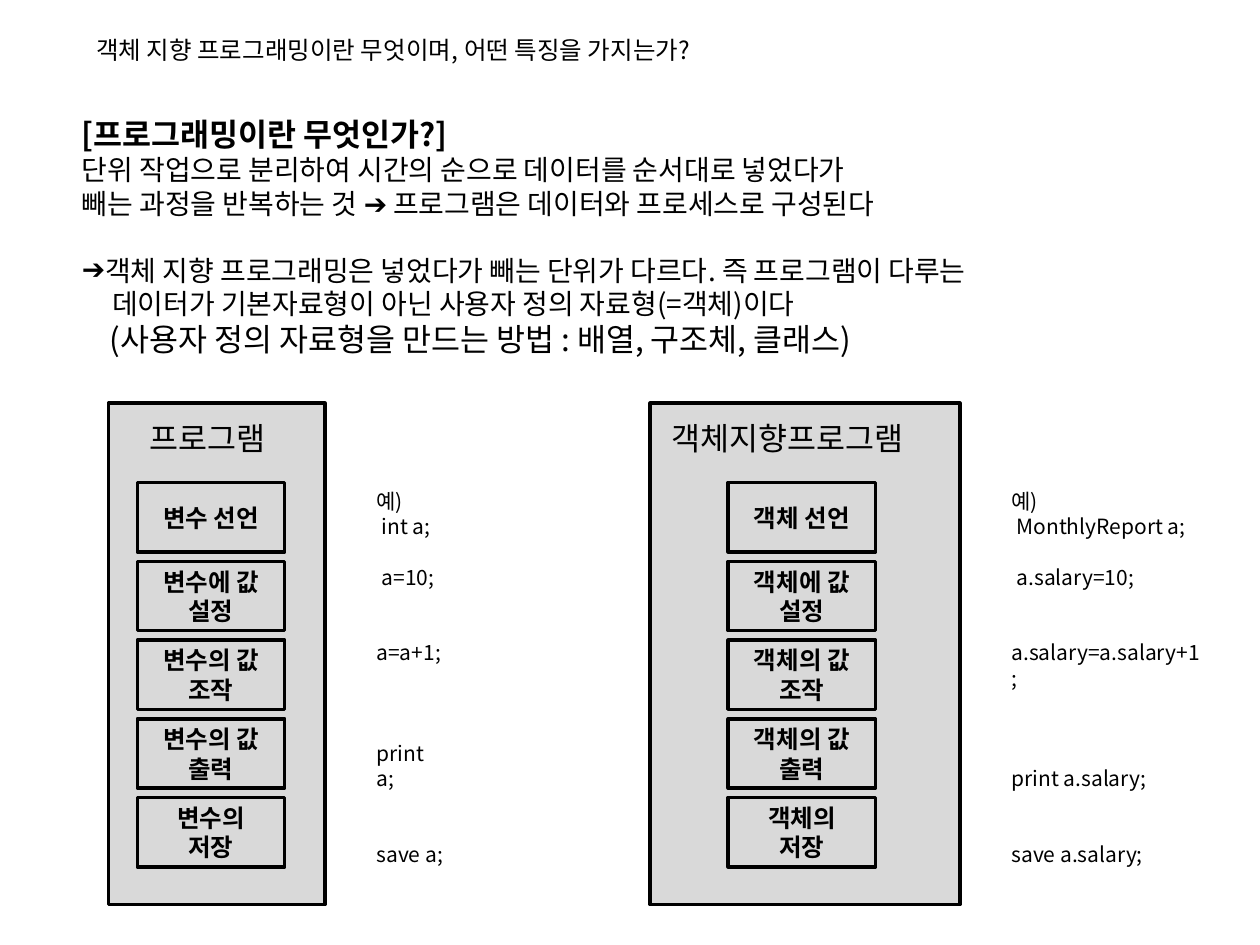
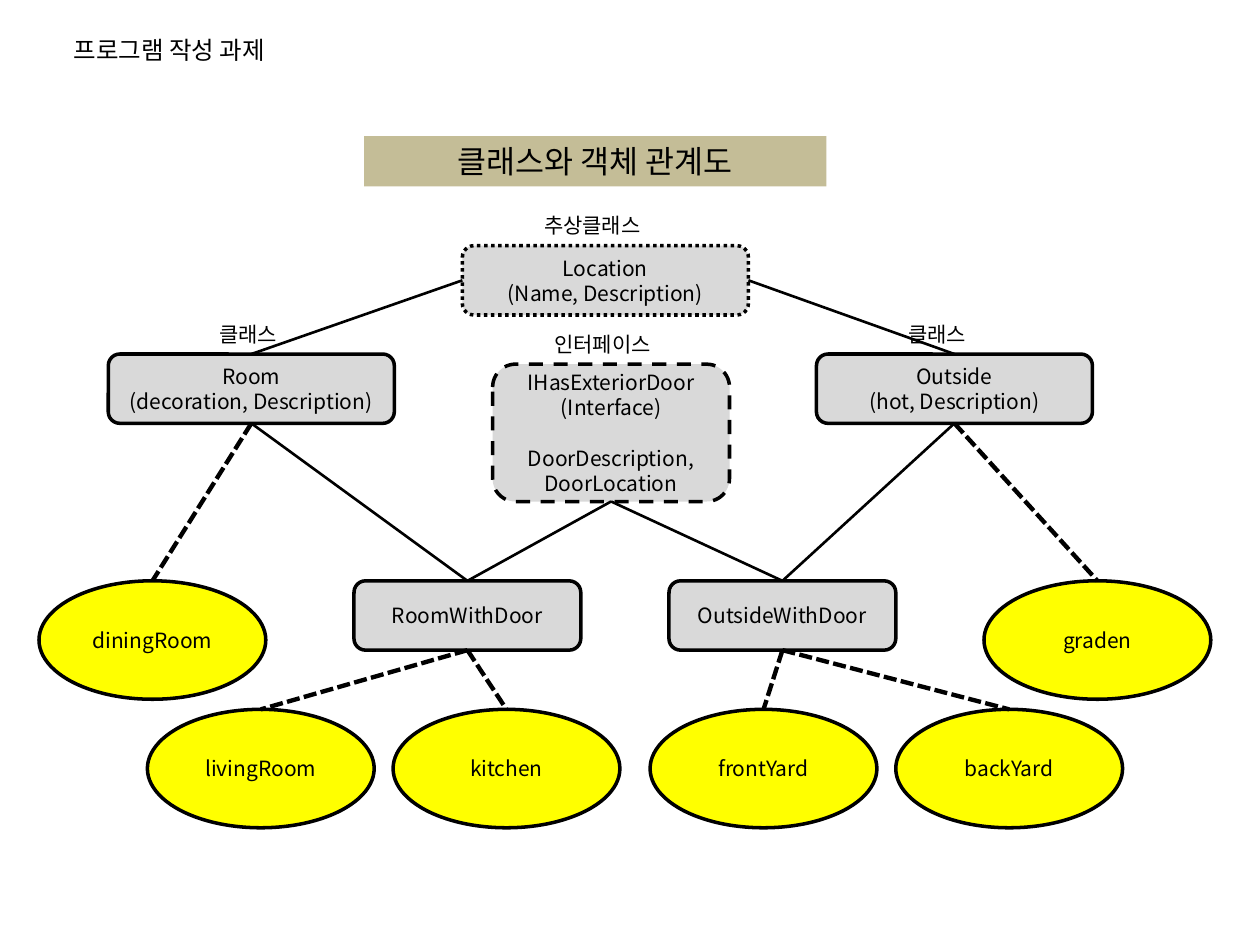
from collections import namedtuple
from dataclasses import dataclass

from lxml.etree import SubElement
from pptx import Presentation
from pptx.dml.color import RGBColor
from pptx.enum.dml import MSO_LINE
from pptx.enum.shapes import MSO_CONNECTOR, MSO_SHAPE
from pptx.enum.text import MSO_ANCHOR, MSO_AUTO_SIZE, PP_ALIGN
from pptx.oxml.ns import qn
from pptx.util import Inches, Pt


@dataclass(frozen=True)
class Theme:
    font: str = "Noto Sans CJK KR"
    ink: RGBColor = RGBColor(0x00, 0x00, 0x00)
    panel: RGBColor = RGBColor(0xD9, 0xD9, 0xD9)
    instance: RGBColor = RGBColor(0xFF, 0xFF, 0x00)
    banner: RGBColor = RGBColor(0xC4, 0xBD, 0x97)
    heading: int = 18
    body: int = 16
    step: int = 14
    small: int = 12
    leading: float = 1.2
    outline: float = 2
    inherit: float = 1.5
    create: float = 2.5


THEME = Theme()
WIDTH, HEIGHT = Inches(10), Inches(7.5)
COL, ROW = WIDTH / 100, HEIGHT / 75

Box = namedtuple("Box", "x y w h")  # columns and rows of the slide grid
# gap counts blank lines above; indent and hang are columns
Line = namedtuple("Line", "text size bold gap indent hang bullet",
                  defaults=(None, False, 0, 0, 0, None))


def emu(box):
    return (round(box.x * COL), round(box.y * ROW),
            round(box.w * COL), round(box.h * ROW))


def write(tf, lines, size, align=PP_ALIGN.LEFT, anchor=MSO_ANCHOR.TOP, wrap=True):
    tf.word_wrap = wrap
    tf.auto_size = MSO_AUTO_SIZE.NONE
    tf.vertical_anchor = anchor
    for i, line in enumerate(lines):
        if isinstance(line, str):
            line = Line(line)
        p = tf.paragraphs[0] if i == 0 else tf.add_paragraph()
        points = line.size or size
        p.alignment = align
        p.line_spacing = Pt(points * THEME.leading)
        p.space_before = Pt(line.gap * points * THEME.leading)
        p.space_after = Pt(0)
        add_bullet(p, line)
        r = p.add_run()
        r.text = line.text
        r.font.size = Pt(points)
        r.font.bold = line.bold
        r.font.color.rgb = THEME.ink
        r.font.name = THEME.font
        SubElement(r.font._element, qn("a:ea"), typeface=THEME.font)


def add_bullet(p, line):
    pPr = p._p.get_or_add_pPr()
    pPr.set("marL", str(round(line.indent * COL)))
    pPr.set("indent", str(round(-line.hang * COL)))
    if line.bullet:
        SubElement(pPr, qn("a:buChar"), char=line.bullet)
    else:
        SubElement(pPr, qn("a:buNone"))


def add_text(s, box, lines, size, wrap=True):
    write(s.shapes.add_textbox(*emu(box)).text_frame, lines, size, wrap=wrap)


def add_box(s, kind, box, fill, lines=(), size=THEME.small, bold=False,
            dash=None, outlined=True):
    sp = s.shapes.add_shape(kind, *emu(box))
    sp.shadow.inherit = False
    sp.fill.solid()
    sp.fill.fore_color.rgb = fill
    if outlined:
        sp.line.color.rgb = THEME.ink
        sp.line.width = Pt(THEME.outline)
        sp.line.dash_style = dash
    else:
        sp.line.fill.background()
    lines = [Line(t, bold=bold) if isinstance(t, str) else t for t in lines]
    if lines:
        write(sp.text_frame, lines, size, PP_ALIGN.CENTER, MSO_ANCHOR.MIDDLE)
    return sp


def join(s, start, start_site, end, end_site, width, dash=None):
    line = s.shapes.add_connector(MSO_CONNECTOR.STRAIGHT, 0, 0, 0, 0)
    line.begin_connect(start, start_site)
    line.end_connect(end, end_site)
    line.line.color.rgb = THEME.ink
    line.line.width = Pt(width)
    line.line.dash_style = dash
    SubElement(line._element.spPr, qn("a:effectLst"))


def place(placeholder, box):
    (placeholder.left, placeholder.top,
     placeholder.width, placeholder.height) = emu(box)


def add_titled_slide(prs, layout, title, width):
    s = prs.slides.add_slide(prs.slide_layouts[layout])
    place(s.shapes.title, Box(3.9, 2.3, width, 3.4))
    write(s.shapes.title.text_frame, [title], THEME.step, PP_ALIGN.CENTER, wrap=False)
    return s


def add_program(s, box, title, title_x, steps_x, steps):
    """Panel with its title and a column of steps, placed from the panel's corner."""
    step_w, step_h, pitch = 11.7, 5.5, 6.25
    add_box(s, MSO_SHAPE.RECTANGLE, box, THEME.panel)
    add_text(s, Box(box.x + title_x, box.y + 0.8, box.w, 4), [title], THEME.heading)
    for i, step in enumerate(steps):
        cell = Box(box.x + steps_x, box.y + 6.3 + i * pitch, step_w, step_h)
        add_box(s, MSO_SHAPE.RECTANGLE, cell, THEME.panel, step, THEME.step, bold=True)


def add_example(s, box, statements):
    """Code lines spaced to stand beside the steps they illustrate."""
    gaps, indents = (0, 1, 2, 3, 2), (0.4, 0.4, 0, 0, 0)
    code = [Line(t, gap=g, indent=n) for t, g, n in zip(statements, gaps, indents)]
    add_text(s, box, ["예)", *code], THEME.small)


def concept_slide(prs):
    s = add_titled_slide(
        prs, 1, "객체 지향 프로그래밍이란 무엇이며, 어떤 특징을 가지는가?", 54.6)
    body = s.placeholders[1]
    place(body, Box(5.5, 8.6, 82.4, 23.2))
    write(body.text_frame, [
        Line("[프로그래밍이란 무엇인가?]", THEME.heading, True),
        "단위 작업으로 분리하여 시간의 순으로 데이터를 순서대로 넣었다가",
        "빼는 과정을 반복하는 것 ➔ 프로그램은 데이터와 프로세스로 구성된다",
        Line("객체 지향 프로그래밍은 넣었다가 빼는 단위가 다르다. 즉 프로그램이 다루는",
             gap=1, indent=1.8, hang=1.8, bullet="➔"),
        Line("데이터가 기본자료형이 아닌 사용자 정의 자료형(=객체)이다", indent=2.4),
        Line("(사용자 정의 자료형을 만드는 방법 : 배열, 구조체, 클래스)",
             THEME.heading, indent=2.2),
    ], THEME.body)

    top, height = 32, 39.8
    add_program(s, Box(8.6, top, 17.2, height), "프로그램", 2.3, 2.3,
                [["변수 선언"], ["변수에 값 설정"], ["변수의 값 조작"],
                 ["변수의 값 출력"], ["변수의", "저장"]])
    add_example(s, Box(28.9, top + 6.3, 7.4, 29.3),
                ["int a;", "a=10;", "a=a+1;", "print a;", "save a;"])
    add_program(s, Box(51.6, top, 24.6, height), "객체지향프로그램", 0.7, 6.2,
                [["객체 선언"], ["객체에 값 설정"], ["객체의 값 조작"],
                 ["객체의 값 출력"], ["객체의", "저장"]])
    add_example(s, Box(79.3, top + 6.3, 17, 29.3),
                ["MonthlyReport a;", "a.salary=10;", "a.salary=a.salary+1;",
                 "print a.salary;", "save a.salary;"])


def add_class(s, x, y, w, lines, h=5.5, dash=None):
    return add_box(s, MSO_SHAPE.ROUNDED_RECTANGLE, Box(x, y, w, h),
                   THEME.panel, lines, dash=dash)


def add_instance(s, x, y, name):
    return add_box(s, MSO_SHAPE.OVAL, Box(x, y, 18, 9.4), THEME.instance, [name])


def relation_slide(prs):
    s = add_titled_slide(prs, 5, "프로그램 작성 과제", 19.1)
    top, left, bottom, right = range(4)
    class_y, door_y, leaf_y = 28.1, 46.1, 56.3

    room = add_class(s, 8.6, class_y, 22.7, ["Room", "(decoration, Description)"])
    outside = add_class(s, 64.8, class_y, 21.9, ["Outside", "(hot, Description)"])
    location = add_class(s, 36.7, 19.5, 22.7, ["Location", "(Name, Description)"],
                         dash=MSO_LINE.ROUND_DOT)
    door = add_class(s, 39.1, 28.9, 18.8,
                     ["IHasExteriorDoor", "(Interface)",
                      Line("DoorDescription,", gap=1), "DoorLocation"],
                     h=10.9, dash=MSO_LINE.DASH)
    room_door = add_class(s, 28.1, door_y, 18, ["RoomWithDoor"])
    outside_door = add_class(s, 53.1, door_y, 18, ["OutsideWithDoor"])

    for parent, site, child in [
            (location, left, room), (location, right, outside),
            (room, bottom, room_door), (outside, bottom, outside_door),
            (door, bottom, room_door), (door, bottom, outside_door)]:
        join(s, parent, site, child, top, THEME.inherit)

    for owner, x, y, name in [
            (room, 3.1, door_y, "diningRoom"),
            (room_door, 11.7, leaf_y, "livingRoom"),
            (room_door, 31.2, leaf_y, "kitchen"),
            (outside_door, 51.6, leaf_y, "frontYard"),
            (outside_door, 71.1, leaf_y, "backYard"),
            (outside, 78.1, door_y, "graden")]:
        join(s, owner, bottom, add_instance(s, x, y, name), top,
             THEME.create, MSO_LINE.SQUARE_DOT)

    add_box(s, MSO_SHAPE.RECTANGLE, Box(28.9, 10.8, 36.7, 4), THEME.banner,
            ["클래스와 객체 관계도"], THEME.heading, outlined=False)
    for x, y, w, label in [(42.2, 16.4, 10.4, "추상클래스"),
                           (43, 25.8, 10.4, "인터페이스"),
                           (16.4, 25, 7.1, "클래스"),
                           (71.1, 25, 7.1, "클래스")]:
        add_text(s, Box(x, y, w, 3), [label], THEME.small, wrap=False)


def main():
    prs = Presentation()
    prs.slide_width, prs.slide_height = WIDTH, HEIGHT
    concept_slide(prs)
    relation_slide(prs)
    prs.save("out.pptx")


if __name__ == "__main__":
    main()
